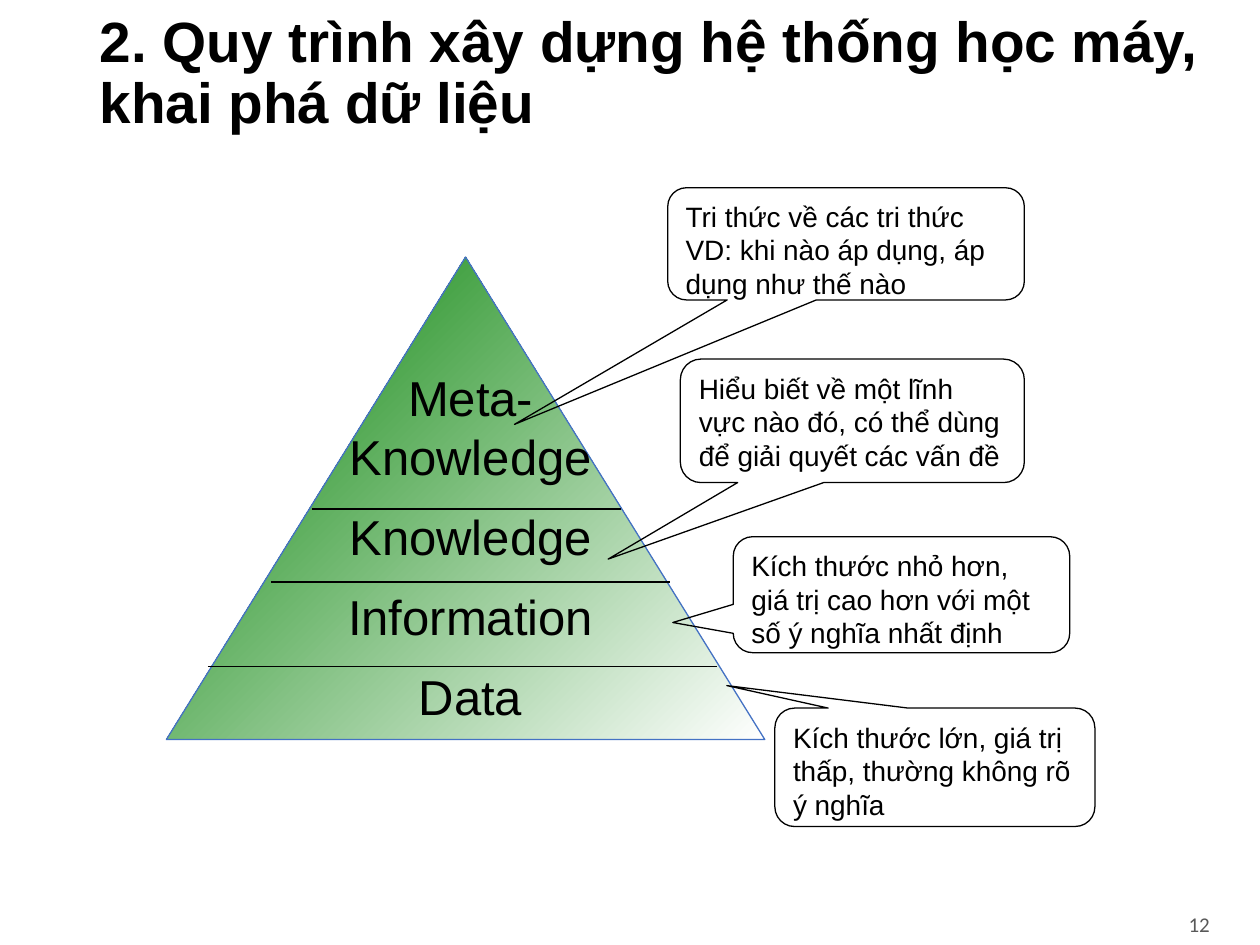
from dataclasses import dataclass

from lxml.etree import SubElement
from pptx import Presentation
from pptx.dml.color import RGBColor
from pptx.enum.shapes import MSO_CONNECTOR, MSO_SHAPE
from pptx.enum.text import MSO_ANCHOR as Anchor, MSO_AUTO_SIZE as AutoSize, PP_ALIGN as Align
from pptx.oxml.ns import qn
from pptx.util import Inches, Pt

COLORS = {"text": "000000", "number": "595959", "edge": "4472C4",
          "apex": "008000", "base": "FFFFFF"}
COLS, ROWS = 100, 75  # grid cells across and down the slide
LINE_WIDTH = Pt(0.75)

prs = Presentation()
prs.slide_width, prs.slide_height = Inches(10), Inches(7.5)


@dataclass(frozen=True)
class Box:
    """A rectangle in grid columns and rows."""
    col: float
    row: float
    cols: float
    rows: float

    def emu(self) -> tuple[int, int, int, int]:
        return x(self.col), y(self.row), x(self.cols), y(self.rows)


@dataclass(frozen=True)
class Callout:
    """A note whose tip is offset from its centre in shares of its size."""
    box: Box
    tip: tuple[float, float]
    lines: tuple[str, ...]


@dataclass(frozen=True)
class Divider:
    row: float
    start: float
    end: float


TITLE = "2. Quy trình xây dựng hệ thống học máy, khai phá dữ liệu"
LEVELS = [("Meta-", 0), ("Knowledge", 0), ("Knowledge", 12), ("Information", 12), ("Data", 12)]
DIVIDERS = [Divider(52.9, 16.5, 56.9), Divider(46.2, 21.5, 53.2), Divider(40.4, 24.8, 49.3)]
CALLOUTS = [
    Callout(Box(61.5, 56.2, 25.4, 9.4), (-0.65, -0.69),
            ("Kích thước lớn, giá trị thấp, thường không rõ ý nghĩa",)),
    Callout(Box(58.2, 42.6, 26.7, 9.2), (-0.68, 0.24),
            ("Kích thước nhỏ hơn, giá trị cao hơn với một số ý nghĩa nhất định",)),
    Callout(Box(54, 28.5, 27.3, 9.8), (-0.71, 1.12),
            ("Hiểu biết về một lĩnh vực nào đó, có thể dùng để giải quyết các vấn đề",)),
    Callout(Box(53, 14.9, 28.3, 8.9), (-0.93, 1.61),
            ("Tri thức về các tri thức", "VD: khi nào áp dụng, áp dụng như thế nào")),
]


def x(cols: float) -> int:
    return round(prs.slide_width * cols / COLS)


def y(rows: float) -> int:
    return round(prs.slide_height * rows / ROWS)


def rgb(name: str) -> RGBColor:
    return RGBColor.from_string(COLORS[name])


def add_run(p, text: str, size: float, font: str = "Arial", color: str = "text",
            bold: bool = False) -> None:
    r = p.add_run()
    r.text = text
    r.font.size, r.font.name, r.font.bold = Pt(size), font, bold
    r.font.color.rgb = rgb(color)


def set_line(line, color: str) -> None:
    line.color.rgb = rgb(color)
    line.width = LINE_WIDTH


def add_title(s) -> None:
    sp = s.shapes.title
    sp.left, sp.top, sp.width, sp.height = Box(6.9, 1.6, 89.6, 8.7).emu()
    tf = sp.text_frame
    tf.word_wrap, tf.auto_size, tf.vertical_anchor = True, AutoSize.NONE, Anchor.MIDDLE
    p = tf.paragraphs[0]
    p.alignment, p.line_spacing = Align.LEFT, 0.9
    add_run(p, TITLE, 32.4, bold=True)


def add_slide_number(s) -> None:
    tf = s.shapes.add_textbox(*Box(84.5, 71.6, 12.5, 3.5).emu()).text_frame
    tf.word_wrap, tf.vertical_anchor = True, Anchor.MIDDLE
    p = tf.paragraphs[0]
    p.alignment = Align.RIGHT
    add_run(p, "12", 12, "Calibri", "number")


def add_pyramid(s) -> None:
    sp = s.shapes.add_shape(MSO_SHAPE.ISOSCELES_TRIANGLE, *Box(13.2, 20.4, 47.5, 38.3).emu())
    sp.shadow.inherit = False
    set_line(sp.line, "edge")
    sp.fill.gradient()
    for stop, color, position in zip(sp.fill.gradient_stops, ("apex", "base"), (0, 1)):
        stop.color.rgb, stop.position = rgb(color), position
    # Radial gradient spreading from the top left corner
    grad = sp._element.spPr.find(qn("a:gradFill"))
    grad.remove(grad.find(qn("a:lin")))
    radial = SubElement(grad, qn("a:path"), path="circle")
    SubElement(radial, qn("a:fillToRect"), r="100000", b="100000")


def add_levels(s) -> None:
    tf = s.shapes.add_textbox(*Box(26.5, 28.7, 21.7, 29.6).emu()).text_frame
    tf.word_wrap, tf.auto_size = False, AutoSize.SHAPE_TO_FIT_TEXT
    for i, (name, gap) in enumerate(LEVELS):
        p = tf.add_paragraph() if i else tf.paragraphs[0]
        p.alignment, p.space_before = Align.CENTER, Pt(gap)
        add_run(p, name, 28)


def add_divider(s, d: Divider) -> None:
    cn = s.shapes.add_connector(MSO_CONNECTOR.STRAIGHT, x(d.start), y(d.row), x(d.end), y(d.row))
    set_line(cn.line, "text")
    SubElement(cn._element.spPr, qn("a:effectLst"))


def add_callout(s, note: Callout) -> None:
    sp = s.shapes.add_shape(MSO_SHAPE.ROUNDED_RECTANGULAR_CALLOUT, *note.box.emu())
    sp.shadow.inherit = False
    sp.adjustments[0], sp.adjustments[1] = note.tip
    sp.fill.background()
    set_line(sp.line, "text")
    tf = sp.text_frame
    tf.word_wrap, tf.vertical_anchor = True, Anchor.TOP
    p = tf.paragraphs[0]
    p.alignment = Align.LEFT
    for i, text in enumerate(note.lines):
        if i:
            p.add_line_break()
        add_run(p, text, 16)


def main() -> None:
    s = prs.slides.add_slide(prs.slide_layouts.get_by_name("Title Only"))
    add_title(s)
    add_slide_number(s)
    add_pyramid(s)
    add_levels(s)
    for d in DIVIDERS:
        add_divider(s, d)
    for note in CALLOUTS:
        add_callout(s, note)
    prs.save("out.pptx")


if __name__ == "__main__":
    main()
